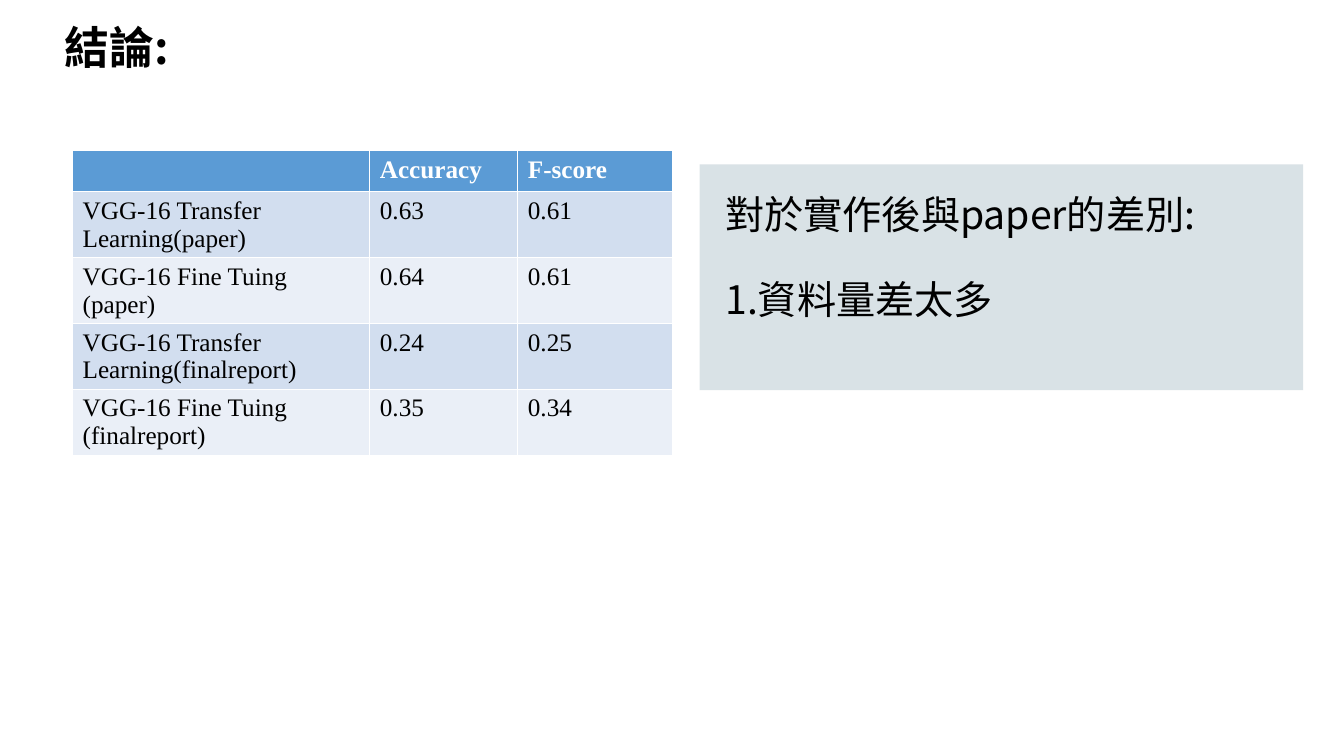
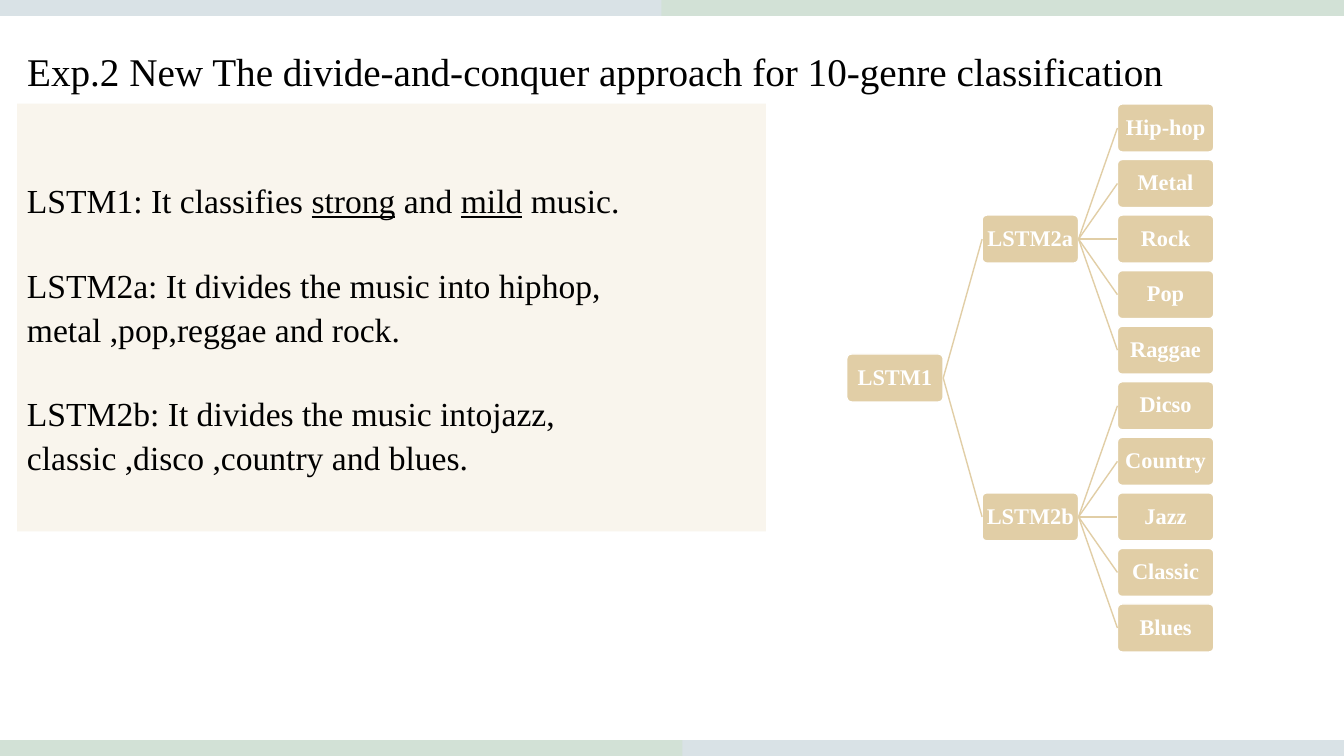
from dataclasses import dataclass

from lxml import etree
from pptx import Presentation
from pptx.dml.color import RGBColor
from pptx.enum import shapes, text
from pptx.oxml import ns
from pptx.util import Cm, Pt


@dataclass(frozen=True)
class Theme:
    black: str = "000000"
    white: str = "FFFFFF"
    navy: str = "003D59"
    green: str = "C5E0B4"
    sand: str = "E1CEA6"
    header: str = "5B9BD5"
    stripes: tuple = ("D2DEEF", "EAEFF7")
    latin: str = "Times New Roman"
    chinese: str = "Noto Sans CJK SC"
    heading_size: int = 32
    large_size: int = 28
    body_size: int = 24
    table_size: int = 18
    node_size: int = 16


class Deck:
    WIDTH, HEIGHT = 33.87, 19.05
    BAND = 0.4

    def __init__(self, theme):
        self.theme = theme
        self.presentation = Presentation()
        self.presentation.slide_width = Cm(self.WIDTH)
        self.presentation.slide_height = Cm(self.HEIGHT)
        self.slide = None

    def add_slide(self):
        layout = self.presentation.slide_layouts.get_by_name("Title Only")
        self.slide = self.presentation.slides.add_slide(layout)

    def format_runs(self, paragraph, size, color=None, font=None, bold=False):
        for run in paragraph.runs:
            run.font.size = Pt(size)
            run.font.bold = bold
            run.font.color.rgb = RGBColor.from_string(color or self.theme.black)
            run.font.name = font or self.theme.latin
            east_asian = etree.SubElement(run._r.get_or_add_rPr(), ns.qn("a:ea"))
            east_asian.set("typeface", run.font.name)

    def title(self, words, box, size, spacing=1.0, **style):
        shape = self.slide.shapes.title
        shape.left, shape.top, shape.width, shape.height = map(Cm, box)
        frame = shape.text_frame
        frame.text = words
        frame.auto_size = text.MSO_AUTO_SIZE.NONE
        frame.vertical_anchor = text.MSO_ANCHOR.TOP
        paragraph = frame.paragraphs[0]
        paragraph.alignment = text.PP_ALIGN.LEFT
        paragraph.line_spacing = spacing
        self.format_runs(paragraph, size, **style)

    def body(self, lines, box, size, spacing, gap, **style):
        """Add paragraphs set apart by gap points; _word_ is underlined."""
        frame = self.slide.shapes.add_textbox(*map(Cm, box)).text_frame
        frame.word_wrap = True
        for index, line in enumerate(lines):
            paragraph = frame.add_paragraph() if index else frame.paragraphs[0]
            paragraph.line_spacing = spacing
            paragraph.space_before = Pt(gap if index else 0)
            for part, words in enumerate(line.split("_")):
                run = paragraph.add_run()
                run.text = words
                if part % 2:
                    run.font.underline = True
            self.format_runs(paragraph, size, **style)

    def fill(self, shape, color, opacity=100):
        shape.shadow.inherit = False
        shape.fill.solid()
        shape.fill.fore_color.rgb = RGBColor.from_string(color)
        if opacity < 100:
            tint = shape._element.spPr.find(".//" + ns.qn("a:srgbClr"))
            etree.SubElement(tint, ns.qn("a:alpha")).set("val", str(opacity * 1000))

    def panel(self, box, color, opacity):
        shape = self.slide.shapes.add_shape(shapes.MSO_SHAPE.RECTANGLE, *map(Cm, box))
        self.fill(shape, color, opacity)
        shape.line.fill.background()

    def bands(self):
        """Frame the slide with a top band and the same band turned half round."""
        half = 17.2
        for top, green_left in ((0, self.WIDTH - half), (self.HEIGHT - self.BAND, 0)):
            self.panel((0, top, self.WIDTH, self.BAND), self.theme.navy, 15)
            self.panel((green_left, top, half, self.BAND), self.theme.green, 30)

    def table(self, rows, left, top, widths, heights):
        table = self.slide.shapes.add_table(
            len(rows), len(widths), Cm(left), Cm(top),
            Cm(sum(widths)), Cm(sum(heights))).table
        for column, width in zip(table.columns, widths):
            column.width = Cm(width)
        for index, (row, height, values) in enumerate(zip(table.rows, heights, rows)):
            row.height = Cm(height)
            is_header = index == 0
            color = self.theme.header if is_header else self.theme.stripes[(index - 1) % 2]
            for cell, value in zip(row.cells, values):
                cell.text = value
                cell.fill.solid()
                cell.fill.fore_color.rgb = RGBColor.from_string(color)
                for paragraph in cell.text_frame.paragraphs:
                    self.format_runs(
                        paragraph, self.theme.table_size, bold=is_header,
                        color=self.theme.white if is_header else self.theme.black)

    def node(self, label, left, top, width, height):
        shape = self.slide.shapes.add_shape(
            shapes.MSO_SHAPE.ROUNDED_RECTANGLE, *map(Cm, (left, top, width, height)))
        shape.adjustments[0] = 0.1
        self.fill(shape, self.theme.sand)
        shape.line.color.rgb = RGBColor.from_string(self.theme.white)
        shape.line.width = Pt(1)
        frame = shape.text_frame
        frame.margin_left = frame.margin_right = Cm(0.03)
        frame.margin_top = frame.margin_bottom = Cm(0.03)
        frame.word_wrap = False
        frame.vertical_anchor = text.MSO_ANCHOR.MIDDLE
        frame.text = label
        paragraph = frame.paragraphs[0]
        paragraph.alignment = text.PP_ALIGN.CENTER
        paragraph.line_spacing = 0.9
        self.format_runs(paragraph, self.theme.node_size, self.theme.white, bold=True)
        return shape

    def link(self, parent, child):
        """Join the right side of parent to the left side of child."""
        connector = self.slide.shapes.add_connector(
            shapes.MSO_CONNECTOR.STRAIGHT, 0, 0, 0, 0)
        connector.begin_connect(parent, 3)
        connector.end_connect(child, 1)
        connector.line.color.rgb = RGBColor.from_string(self.theme.sand)
        connector.line.width = Pt(1)
        etree.SubElement(connector._element.spPr, ns.qn("a:effectLst"))

    def tree(self, root, branches, left, top):
        """Draw a three-level tree, each parent centred on its children."""
        width, height, column_step, row_step = 2.43, 1.21, 3.41, 1.4

        def place(label, column, row):
            return self.node(label, left + column * column_step,
                             top + row * row_step, width, height)

        leaf_count = sum(map(len, branches.values()))
        root_node = place(root, 0, (leaf_count - 1) / 2)
        first_row = 0
        for branch, leaves in branches.items():
            branch_node = place(branch, 1, first_row + (len(leaves) - 1) / 2)
            self.link(root_node, branch_node)
            for row, leaf in enumerate(leaves, first_row):
                self.link(branch_node, place(leaf, 2, row))
            first_row += len(leaves)


def build_conclusion(deck):
    theme = deck.theme
    deck.add_slide()
    deck.title("結論:", (1.37, 0.53, 11.05, 1.63), theme.heading_size,
               spacing=0.9, font=theme.chinese, bold=True)
    deck.table(
        [("", "Accuracy", "F-score"),
         ("VGG-16 Transfer Learning(paper)", "0.63", "0.61"),
         ("VGG-16 Fine Tuing\n(paper)", "0.64", "0.61"),
         ("VGG-16 Transfer Learning(finalreport)", "0.24", "0.25"),
         ("VGG-16 Fine Tuing\n(finalreport)", "0.35", "0.34")],
        1.83, 3.8, widths=(7.49, 3.73, 3.91), heights=(1.03,) + (1.65,) * 4)
    deck.panel((17.63, 4.14, 15.21, 5.69), theme.navy, 15)
    deck.body(["對於實作後與paper的差別:", "1.資料量差太多"],
              (18.03, 4.8, 14.4, 5.05), theme.large_size,
              spacing=0.9, gap=30.5, font=theme.chinese)


def build_genre_tree(deck):
    theme = deck.theme
    deck.add_slide()
    deck.bands()
    deck.panel((0.43, 2.61, 18.87, 10.78), theme.sand, 20)
    deck.title("Exp.2 New The divide-and-conquer approach for 10-genre classification",
               (0.43, 1.07, 31.5, 1.45), theme.large_size)
    deck.body(["LSTM1: It classifies _strong_ and _mild_ music.",
               "LSTM2a: It divides the music into hiphop, metal ,pop,reggae and rock.",
               "LSTM2b: It divides the music intojazz, classic ,disco ,country and blues."],
              (0.43, 4.32, 18.39, 7.44), theme.body_size, spacing=1.09, gap=29)
    deck.tree("LSTM1",
              {"LSTM2a": ["Hip-hop", "Metal", "Rock", "Pop", "Raggae"],
               "LSTM2b": ["Dicso", "Country", "Jazz", "Classic", "Blues"]},
              left=21.34, top=2.62)


def main():
    deck = Deck(Theme())
    build_conclusion(deck)
    build_genre_tree(deck)
    deck.presentation.save("out.pptx")


if __name__ == "__main__":
    main()
